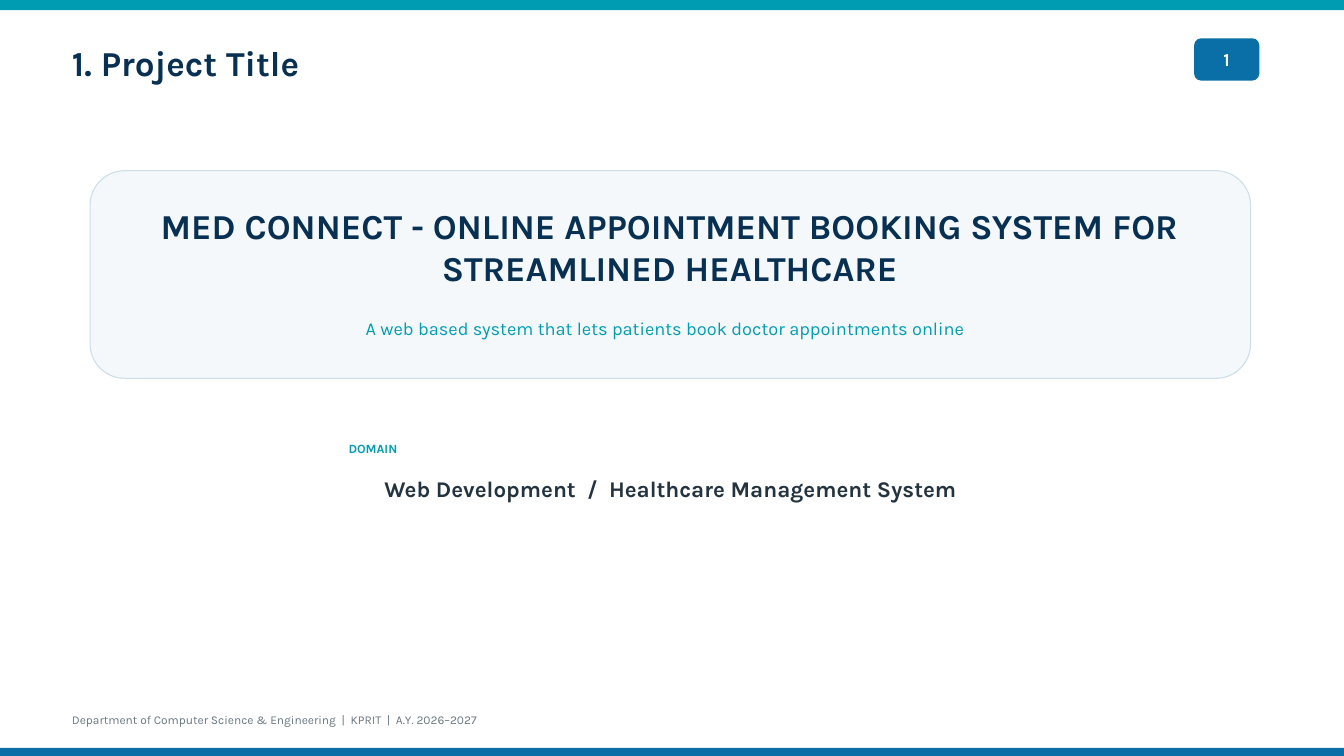
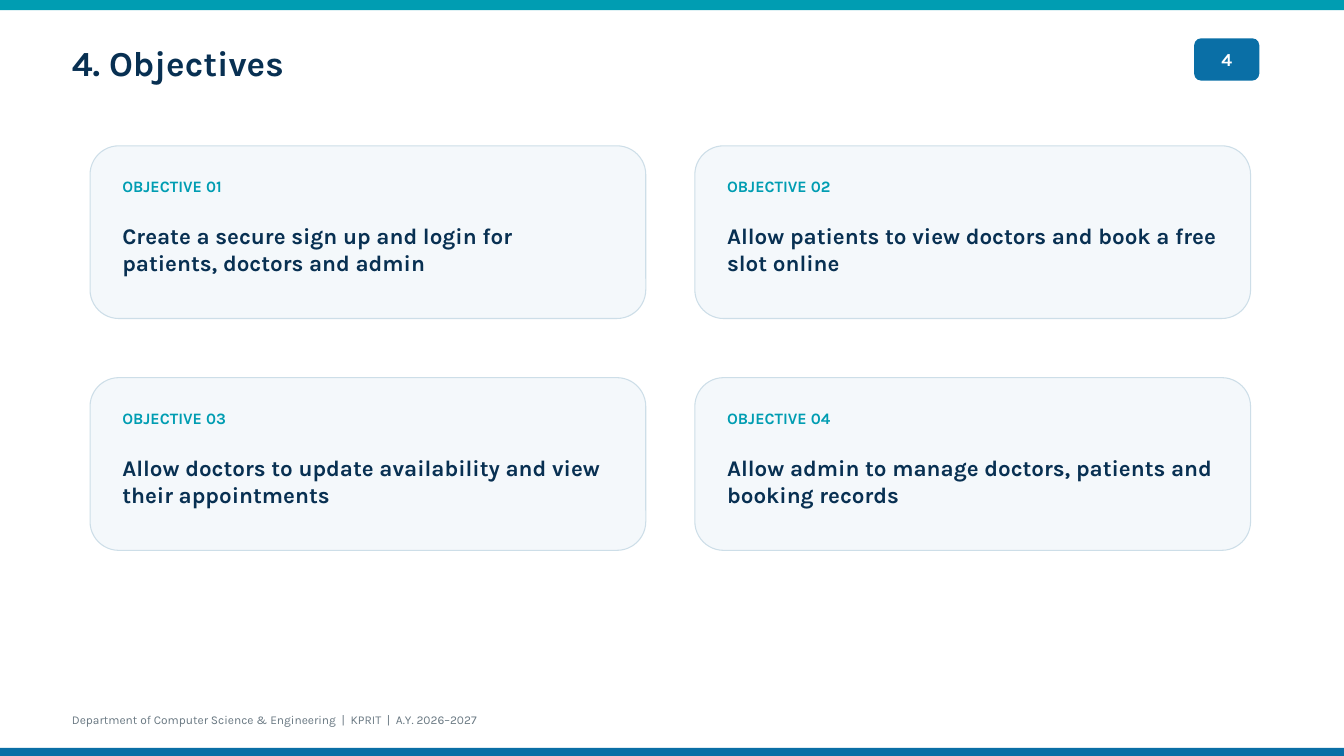
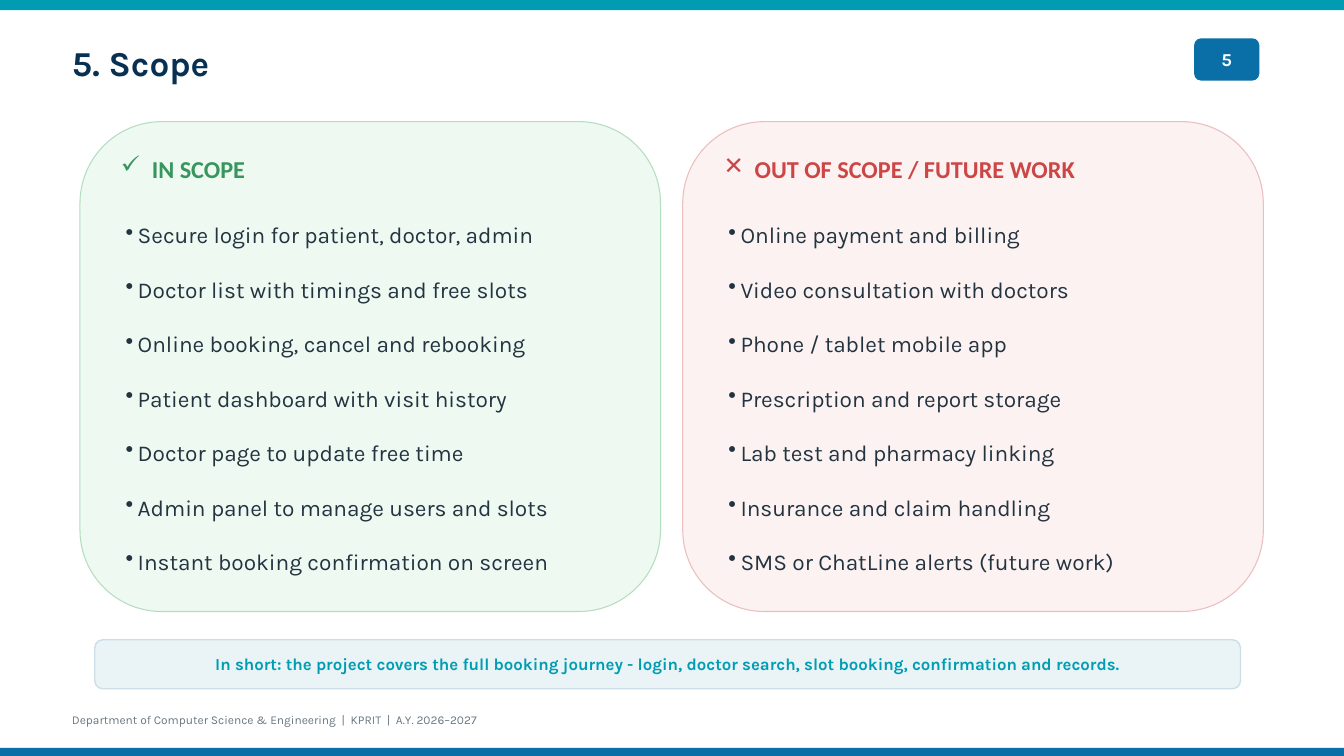
from dataclasses import dataclass

from lxml.etree import SubElement
from pptx import Presentation
from pptx.dml.color import RGBColor as Rgb
from pptx.enum.shapes import MSO_SHAPE as Kind
from pptx.enum.text import MSO_ANCHOR as Anchor, MSO_AUTO_SIZE as Fit, PP_ALIGN as Align
from pptx.oxml.ns import qn
from pptx.util import Emu, Pt

SCALE = 9144
WIDE, HIGH = 2000, 1125


@dataclass(frozen=True)
class Theme:
    font: str = "Karla"
    alt: str = "Calibri"
    white: str = "FFFFFF"
    navy: str = "083052"
    blue: str = "0A6FA6"
    teal: str = "009DB2"
    ink: str = "233440"
    grey: str = "697882"
    pale: str = "F4F8FB"
    edge: str = "CDDEE8"
    mist: str = "EAF4F7"
    mint: str = "EEF9F2"
    leaf: str = "B5DEC1"
    green: str = "36965D"
    blush: str = "FCF2F2"
    rose: str = "ECBEBE"
    red: str = "CD4646"
    head: float = 37.5
    mark: float = 26
    item: float = 24.3
    lead: float = 24
    sub: float = 19.5
    note: float = 18
    tag: float = 17
    small: float = 13.5
    foot: float = 12.8
    ratio: float = 1.2
    thin: float = 1.13
    thick: float = 1.5


T = Theme()

FOOTER = "Department of Computer Science & Engineering  |  KPRIT  |  A.Y. 2026–2027"
GOALS = [
    "Create a secure sign up and login for patients, doctors and admin",
    "Allow patients to view doctors and book a free slot online",
    "Allow doctors to update availability and view their appointments",
    "Allow admin to manage doctors, patients and booking records",
]
INSIDE = [
    "Secure login for patient, doctor, admin",
    "Doctor list with timings and free slots",
    "Online booking, cancel and rebooking",
    "Patient dashboard with visit history",
    "Doctor page to update free time",
    "Admin panel to manage users and slots",
    "Instant booking confirmation on screen",
]
OUTSIDE = [
    "Online payment and billing",
    "Video consultation with doctors",
    "Phone / tablet mobile app",
    "Prescription and report storage",
    "Lab test and pharmacy linking",
    "Insurance and claim handling",
    "SMS or ChatLine alerts (future work)",
]


def px(n):
    return Emu(n * SCALE)


def place(shape, box):
    shape.left, shape.top, shape.width, shape.height = map(px, box)


def bullet(para, sign, indent):
    props = para._p.get_or_add_pPr()
    props.set("marL", str(px(indent)))
    props.set("indent", str(-px(indent)))
    SubElement(props, qn("a:buChar")).set("char", sign)


def write(shape, text, size, color, bold=True, align=Align.LEFT, anchor=Anchor.TOP,
          font=T.font, sign=None, indent=0, gap=0):
    frame = shape.text_frame
    frame.text = text
    frame.word_wrap = True
    frame.auto_size = Fit.NONE
    frame.vertical_anchor = anchor
    frame.margin_left = frame.margin_right = frame.margin_top = frame.margin_bottom = 0
    for i, para in enumerate(frame.paragraphs):
        if sign:
            bullet(para, sign, indent)
        para.alignment = align
        para.line_spacing = Pt(size * T.ratio)
        if i and gap:
            para.space_before = Pt(gap)
        for run in para.runs:
            run.font.name = font
            run.font.size = Pt(size)
            run.font.bold = bold
            run.font.color.rgb = Rgb.from_string(color)


def label(slide, box, text, size, color, **style):
    write(slide.shapes.add_textbox(*map(px, box)), text, size, color, **style)


def panel(slide, box, fill, line=None, width=T.thin, kind=Kind.ROUNDED_RECTANGLE):
    shape = slide.shapes.add_shape(kind, *map(px, box))
    shape.shadow.inherit = False
    shape.fill.solid()
    shape.fill.fore_color.rgb = Rgb.from_string(fill)
    if line:
        shape.line.color.rgb = Rgb.from_string(line)
        shape.line.width = Pt(width)
    else:
        shape.line.fill.background()
    return shape


def start(deck, number, name):
    slide = deck.slides.add_slide(deck.slide_layouts[5])
    title = slide.shapes.title
    place(title, (107, 62, 1615, 72))
    write(title, f"{number}. {name}", T.head, T.navy)
    badge = panel(slide, (1777, 57, 97, 63), T.blue)
    write(badge, str(number), T.sub, T.white, align=Align.CENTER, anchor=Anchor.MIDDLE)
    panel(slide, (0, 0, WIDE, 15), T.teal, kind=Kind.RECTANGLE)
    panel(slide, (0, HIGH - 12, WIDE, 12), T.blue, kind=Kind.RECTANGLE)
    label(slide, (107, 1061, 1600, 24), FOOTER, T.foot, T.grey, bold=False)
    return slide


def project(deck):
    slide = start(deck, 1, "Project Title")
    mid = Align.CENTER
    panel(slide, (134, 254, 1727, 309), T.pale, T.edge)
    label(slide, (182, 305, 1630, 125),
          "MED CONNECT - ONLINE APPOINTMENT BOOKING SYSTEM FOR STREAMLINED HEALTHCARE",
          T.head, T.navy, align=mid)
    label(slide, (235, 472, 1510, 42),
          "A web based system that lets patients book doctor appointments online",
          T.sub, T.teal, bold=False, align=mid)
    label(slide, (475, 656, 160, 21), "DOMAIN", T.small, T.teal, align=mid)
    label(slide, (340, 707, 1315, 50),
          "Web Development  /  Healthcare Management System", T.lead, T.ink, align=mid)


def goals(deck):
    slide = start(deck, 4, "Objectives")
    for i, goal in enumerate(GOALS):
        row, col = divmod(i, 2)
        x, y = 134 + 900 * col, 217 + 345 * row
        panel(slide, (x, y, 827, 257), T.pale, T.edge)
        label(slide, (x + 48, y + 46, 220, 29), f"OBJECTIVE {i + 1:02}", T.tag, T.teal)
        label(slide, (x + 48, y + 114, 730, 79), goal, T.lead, T.navy)


def column(slide, x, fill, line, color, sign, head, items):
    panel(slide, (x, 181, 864, 729), fill, line)
    label(slide, (x + 61, 230, 753, 49), head, T.mark, color,
          font=T.alt, sign=sign, indent=46)
    label(slide, (x + 68, 329, 730, 518), "\n".join(items), T.item, T.ink,
          bold=False, sign="•", indent=18, gap=T.item * T.ratio)


def scope(deck):
    slide = start(deck, 5, "Scope")
    column(slide, 119, T.mint, T.leaf, T.green, "✓", "IN SCOPE", INSIDE)
    column(slide, 1016, T.blush, T.rose, T.red, "✕", "OUT OF SCOPE / FUTURE WORK", OUTSIDE)
    note = panel(slide, (141, 952, 1705, 73), T.mist, T.edge, T.thick)
    write(note, "In short: the project covers the full booking journey - login, doctor search, "
          "slot booking, confirmation and records.",
          T.note, T.teal, align=Align.CENTER, anchor=Anchor.MIDDLE)


def main():
    deck = Presentation()
    deck.slide_width, deck.slide_height = px(WIDE), px(HIGH)
    project(deck)
    goals(deck)
    scope(deck)
    deck.save("out.pptx")


if __name__ == "__main__":
    main()
